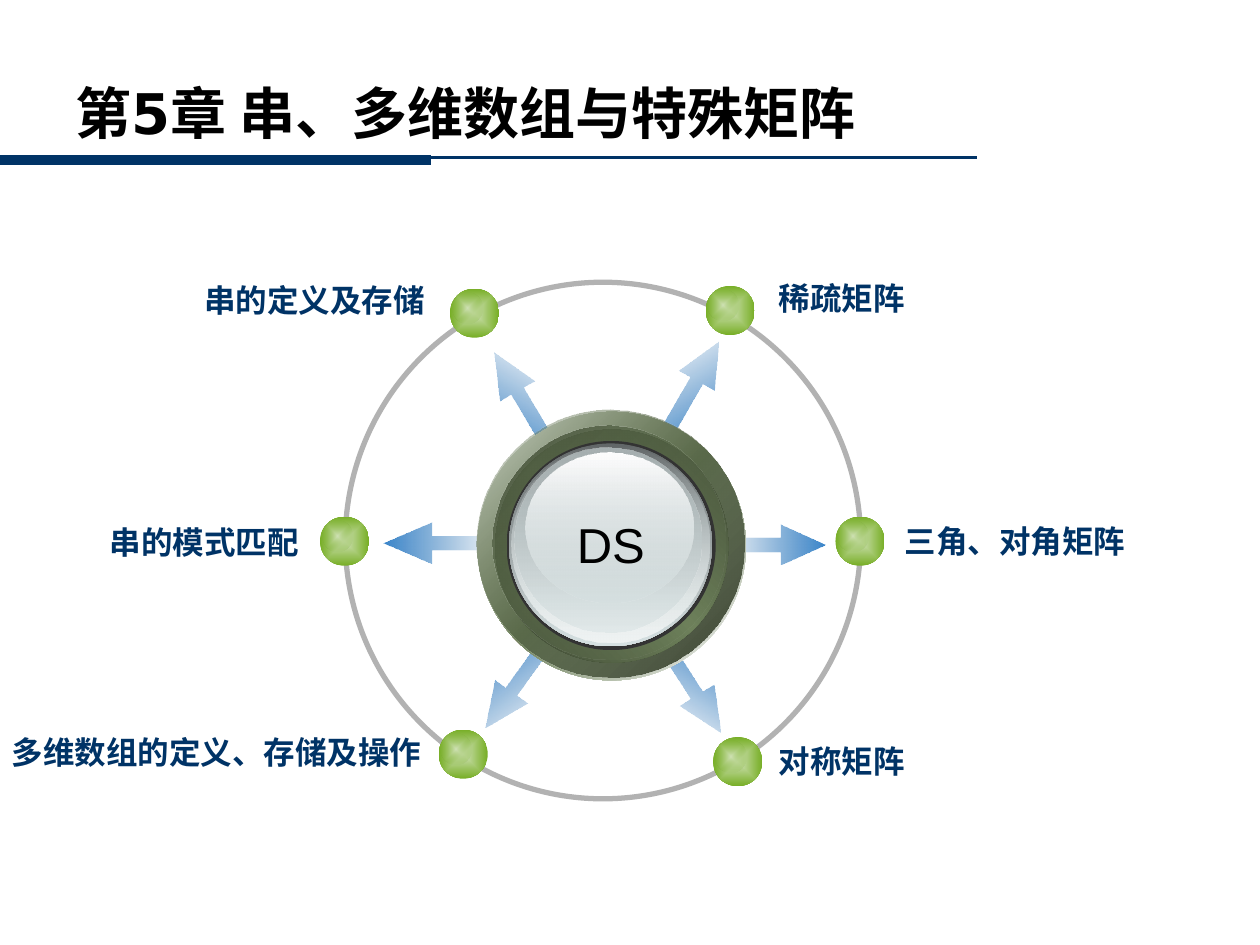
import pptx
import pptx.dml.color
import pptx.enum.shapes
import pptx.enum.text
import pptx.oxml
import pptx.oxml.ns
import pptx.util
from collections import namedtuple
from dataclasses import dataclass

Pt = pptx.util.Pt
SHAPE = pptx.enum.shapes.MSO_SHAPE
ALIGN = pptx.enum.text.PP_ALIGN
ANCHOR = pptx.enum.text.MSO_ANCHOR
AUTO_SIZE = pptx.enum.text.MSO_AUTO_SIZE
Box = namedtuple("Box", "left top width height")
Spoke = namedtuple("Spoke", "text align label ball arrow length rotation")
Layer = namedtuple("Layer", "left top width height stops angle")


@dataclass(frozen=True)
class Theme:
    title_font: str = "DejaVu Sans"
    body_font: str = "Arial"
    title_size: int = 32
    hub_size: int = 28
    label_size: int = 18
    black: str = "000000"
    navy: str = "003366"
    orbit: str = "B2B2B2"
    rim: str = "333333"
    arrow: tuple = (("3984C9", 100), ("3275B2", 0))
    ball: tuple = (("D0E2B5", 100), ("77AE26", 100))
    ball_shine: tuple = (("D0E2B5", 100), ("77AE26", 0))


THEME = Theme()

SPOKES = [
    Spoke("稀疏矩阵", ALIGN.LEFT, (240.5, -5.1), (205.9, 2.1), (166.3, 49.7), 62.6, 299.6),
    Spoke("对称矩阵", ALIGN.LEFT, (240.5, 259.2), (210.2, 259.9), (166.3, 219.6), 62.6, 57.8),
    Spoke("串的定义及存储", ALIGN.RIGHT, (-87.9, -4.3), (59.8, 3.6), (69.8, 55.4), 62.6, 239.5),
    Spoke("多维数组的定义、存储及操作", ALIGN.RIGHT, (-198, 254.1), (53.3, 255.6),
          (66.9, 217.4), 62.6, 125.6),
    Spoke("三角、对角矩阵", ALIGN.LEFT, (312.5, 133.2), (280.1, 133.9), (211.7, 138.2), 62.6, 0),
    Spoke("串的模式匹配", ALIGN.RIGHT, (-141.9, 133.9), (-14.4, 133.9), (21.6, 137.5), 67.7, 180),
]

HUB_LAYERS = [
    Layer(0.7, 1.4, 153.4, 153.4, (("FEFEFE", 100), ("6E815B", 100), ("FEFEFE", 100)), 225),
    Layer(0, 0, 153.4, 153.4, (("323B29", 100), ("6E815B", 32)), 225),
    Layer(10.8, 11.5, 133.2, 133.2, (("3B4531", 100), ("6E815B", 100), ("3B4531", 100)), 135),
    Layer(9.4, 9.4, 133.2, 133.2, (("6E815B", 0), ("455139", 100)), 225),
    Layer(17.3, 18, 119.5, 119.5, ((THEME.rim, 100), (THEME.rim, 100)), 0),
    Layer(18.7, 19.4, 115.9, 115.9, (("626768", 100), ("D6E1E2", 100)), 90),
    Layer(20.2, 20.2, 113, 113, (("D6E1E2", 0), ("EFF3F3", 100)), 90),
    Layer(21.6, 21.6, 107.3, 105.8, (("A8B1B2", 100), ("D6E1E2", 48)), 90),
    Layer(28.1, 24.5, 95.8, 85.7, (("FEFEFE", 100), ("D6E1E2", 38)), 90),
]


def color(value):
    return pptx.dml.color.RGBColor.from_string(value)


def write_text(frame, text, *, size, font, fill, bold=False, align=ALIGN.LEFT,
               anchor=ANCHOR.TOP, wrap=False, auto_size=AUTO_SIZE.SHAPE_TO_FIT_TEXT):
    frame.word_wrap = wrap
    frame.auto_size = auto_size
    frame.vertical_anchor = anchor
    frame.margin_left = frame.margin_right = Pt(7.2)
    frame.margin_top = frame.margin_bottom = Pt(3.6)
    paragraph = frame.paragraphs[0]
    paragraph.alignment = align
    run = paragraph.add_run()
    run.text = text
    run.font.size = Pt(size)
    run.font.name = font
    run.font.bold = bold
    run.font.color.rgb = color(fill)


def add_text(slide, box, text, **style):
    text_box = slide.shapes.add_textbox(*map(Pt, box))
    write_text(text_box.text_frame, text, **style)


def add_plain_shape(shapes, kind, box):
    shape = shapes.add_shape(kind, *map(Pt, box))
    shape.shadow.inherit = False
    shape.line.fill.background()
    shape.fill.background()
    return shape


def fill_gradient(shape, stops, angle=None):
    last = len(stops) - 1
    stop_xml = "".join(
        f'<a:gs pos="{100000 * index // last}"><a:srgbClr val="{value}">'
        f'<a:alpha val="{opacity * 1000}"/></a:srgbClr></a:gs>'
        for index, (value, opacity) in enumerate(stops))
    if angle is None:
        course = ('<a:path path="rect"><a:fillToRect l="50000" t="50000" '
                  'r="50000" b="50000"/></a:path>')
    else:
        course = f'<a:lin ang="{round(angle * 60000)}" scaled="0"/>'
    gradient = pptx.oxml.parse_xml(
        f'<a:gradFill {pptx.oxml.ns.nsdecls("a")} rotWithShape="0">'
        f'<a:gsLst>{stop_xml}</a:gsLst>{course}</a:gradFill>')
    properties = shape._element.spPr
    properties.replace(properties.find(pptx.oxml.ns.qn("a:noFill")), gradient)


def add_rule(slide, left, top, width, weight):
    rule = slide.shapes.add_connector(
        pptx.enum.shapes.MSO_CONNECTOR.STRAIGHT, Pt(left), Pt(top), Pt(left + width), Pt(top))
    rule.line.color.rgb = color(THEME.navy)
    rule.line.width = Pt(weight)
    rule._element.spPr.append(
        pptx.oxml.parse_xml(f'<a:effectLst {pptx.oxml.ns.nsdecls("a")}/>'))


def add_header(slide, box, text):
    add_rule(slide, box.left, box.top + 48.2, 558, 1.5)
    add_rule(slide, box.left, box.top + 49.7, 246.2, 6)
    title = slide.shapes.title
    title.left, title.top = Pt(box.left + 36), Pt(box.top)
    title.width, title.height = Pt(606.2), Pt(44.6)
    write_text(title.text_frame, text, size=THEME.title_size, font=THEME.title_font,
               fill=THEME.black, bold=True, anchor=ANCHOR.MIDDLE, wrap=True,
               auto_size=AUTO_SIZE.NONE)


def add_arrow(slide, box, rotation):
    arrow = add_plain_shape(slide.shapes, SHAPE.RIGHT_ARROW, box)
    arrow.adjustments[0] = 0.35
    arrow.adjustments[1] = 1.11 * box.width / 62.6
    arrow.rotation = rotation
    fill_gradient(arrow, THEME.arrow, (180 - rotation) % 360)


def add_ball(slide, box):
    group = slide.shapes.add_group_shape()
    shine = Box(box.left + 1.3, box.top + 2.2, 17.5, 17.8)
    for part, stops in ((box, THEME.ball), (shine, THEME.ball_shine)):
        fill_gradient(add_plain_shape(group.shapes, SHAPE.OVAL, part), stops)


def add_hub(slide, box, text):
    for layer in HUB_LAYERS:
        part = Box(box.left + layer.left, box.top + layer.top, layer.width, layer.height)
        fill_gradient(add_plain_shape(slide.shapes, SHAPE.OVAL, part), layer.stops, layer.angle)
    add_text(slide, Box(box.left + 50.2, box.top + 56.2, 53.3, 41), text, size=THEME.hub_size,
             font=THEME.body_font, fill=THEME.black, align=ALIGN.CENTER)


def add_wheel(slide, box):
    def place(offset, width, height):
        return Box(box.left + offset[0], box.top + offset[1], width, height)

    for spoke in SPOKES:
        add_arrow(slide, place(spoke.arrow, spoke.length, 23), spoke.rotation)
    orbit = add_plain_shape(slide.shapes, SHAPE.OVAL, box)
    orbit.line.color.rgb = color(THEME.orbit)
    orbit.line.width = Pt(3)
    for spoke in SPOKES:
        add_ball(slide, place(spoke.ball, 28.1, 28.1))
    add_hub(slide, place((74.9, 72.7), 153.4, 153.4), "DS")
    for spoke in SPOKES:
        width = len(spoke.text) * THEME.label_size + 14.4
        add_text(slide, place(spoke.label, width, 28.8), spoke.text, size=THEME.label_size,
                 font=THEME.body_font, fill=THEME.navy, bold=True, align=spoke.align)


def main():
    presentation = pptx.Presentation()
    presentation.slide_width, presentation.slide_height = Pt(720), Pt(540)
    slide = presentation.slides.add_slide(presentation.slide_layouts.get_by_name("Title Only"))
    add_header(slide, Box(0, 41.8, 720, 53), "第5章 串、多维数组与特殊矩阵")
    add_wheel(slide, Box(197.3, 161.3, 294.5, 295.2))
    presentation.save("out.pptx")


if __name__ == "__main__":
    main()
